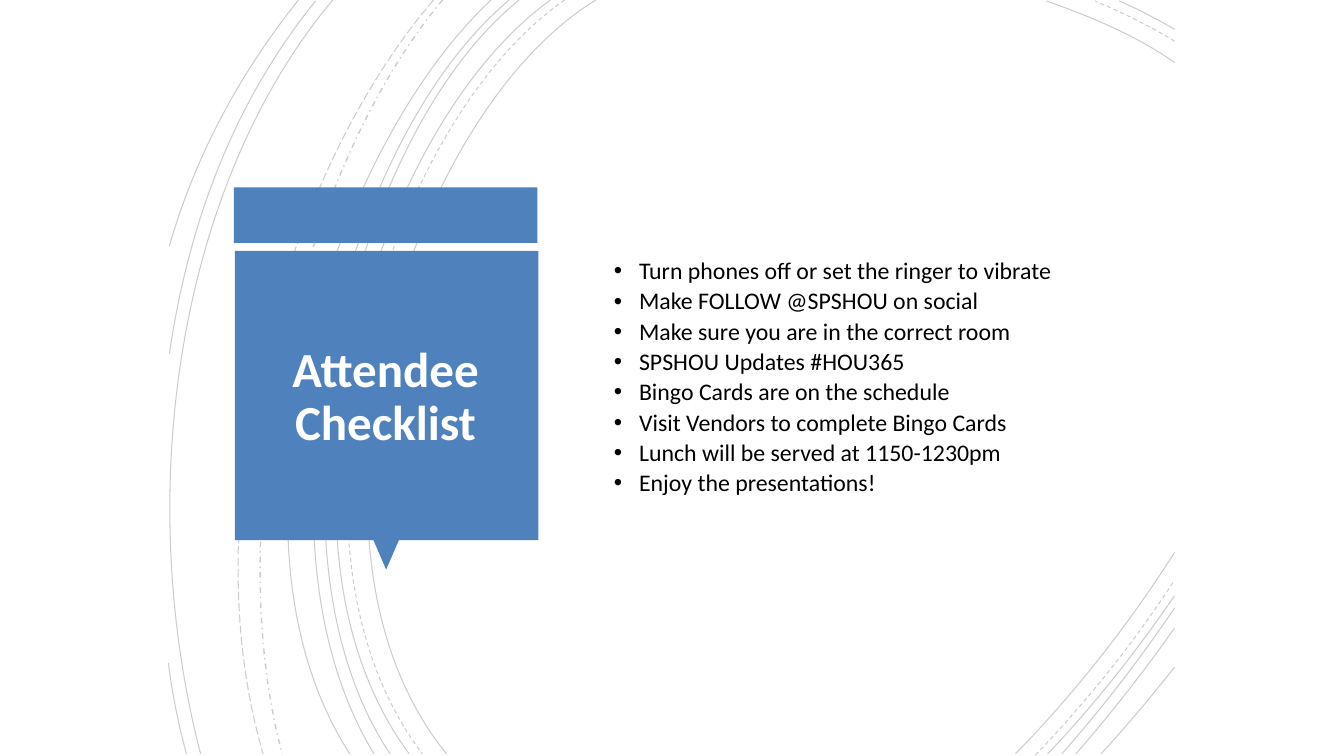
from lxml import etree
from pptx import Presentation
from pptx.dml.color import RGBColor
from pptx.enum.dml import MSO_LINE
from pptx.enum.shapes import MSO_SHAPE
from pptx.enum.text import MSO_ANCHOR, PP_ALIGN
from pptx.oxml.ns import qn
from pptx.util import Pt

PX = 9144
FONT = "Calibri"
BLUE = RGBColor(0x4F, 0x81, 0xBD)
BLACK = RGBColor(0, 0, 0)
WHITE = RGBColor(255, 255, 255)
SOLID, DASH = MSO_LINE.SOLID, MSO_LINE.DASH
DASH_DOT, LONG_DASH = MSO_LINE.DASH_DOT, MSO_LINE.LONG_DASH
RECTANGLE, TRIANGLE = MSO_SHAPE.RECTANGLE, MSO_SHAPE.ISOSCELES_TRIANGLE
MIDDLE = MSO_ANCHOR.MIDDLE
CENTER, LEFT = PP_ALIGN.CENTER, PP_ALIGN.LEFT

ARCS = [
    (SOLID, (591, 0), (403, 115), (274, 540), (443, 748)),
    (SOLID, (1165, 62), (1125, 34), (1080, 16), (1038, 1)),
    (SOLID, (1007, 748), (1064, 690), (1118, 622), (1165, 548)),
    (DASH, (560, 0), (380, 125), (259, 537), (419, 748)),
    (DASH, (1165, 41), (1139, 25), (1112, 12), (1086, 1)),
    (DASH, (1027, 749), (1076, 698), (1123, 640), (1164, 577)),
    (SOLID, (546, 0), (369, 127), (249, 537), (406, 748)),
    (SOLID, (1165, 29), (1147, 19), (1129, 9), (1110, 1)),
    (SOLID, (1039, 748), (1084, 701), (1126, 648), (1165, 591)),
    (SOLID, (515, 0), (349, 133), (249, 541), (387, 748)),
    (SOLID, (1053, 748), (1092, 704), (1130, 655), (1165, 603)),
    (SOLID, (505, 0), (340, 138), (240, 533), (371, 748)),
    (SOLID, (1067, 748), (1101, 709), (1134, 667), (1165, 623)),
    (SOLID, (487, 0), (330, 147), (206, 529), (347, 748)),
    (SOLID, (1092, 748), (1117, 721), (1141, 692), (1165, 662)),
    (DASH_DOT, (439, 0), (299, 166), (216, 509), (280, 748)),
    (LONG_DASH, (430, 0), (285, 169), (188, 499), (261, 748)),
    (SOLID, (330, 0), (175, 185), (132, 490), (199, 748)),
    (SOLID, (313, 1), (236, 96), (188, 214), (168, 351)),
    (SOLID, (167, 658), (171, 689), (177, 719), (185, 748)),
    (SOLID, (296, 0), (241, 69), (195, 150), (168, 244)),
]
CHECKLIST = [
    "Turn phones off or set the ringer to vibrate",
    "Make FOLLOW @SPSHOU on social",
    "Make sure you are in the correct room",
    "SPSHOU Updates #HOU365",
    "Bingo Cards are on the schedule",
    "Visit Vendors to complete Bingo Cards",
    "Lunch will be served at 1150-1230pm",
    "Enjoy the presentations!",
]


def add_arc(page, dash, start, *controls):
    """Draw one faint cubic curve."""
    builder = page.shapes.build_freeform(*start, scale=PX)
    builder.add_line_segments(controls, close=False)
    arc = builder.convert_to_shape()
    arc.shadow.inherit = False
    arc.fill.background()
    arc.line.color.rgb = BLACK
    arc.line.width = Pt(1 if dash == DASH_DOT else 0.75)
    arc.line.dash_style = dash
    color = next(arc.line._ln.iter(qn("a:srgbClr")))
    etree.SubElement(color, qn("a:alpha"), val="20000")
    segments = list(arc._element.iter(qn("a:lnTo")))
    curve = etree.SubElement(segments[0].getparent(), qn("a:cubicBezTo"))
    for segment in segments:
        curve.append(segment[0])
        segment.getparent().remove(segment)


def add_block(page, kind, *bounds, rotation=0):
    """Add a plain blue shape."""
    block = page.shapes.add_shape(kind, *(PX * length for length in bounds))
    block.shadow.inherit = False
    block.fill.solid()
    block.fill.fore_color.rgb = BLUE
    block.line.fill.background()
    block.rotation = rotation


def add_text_box(page, *bounds):
    """Add a wrapping, vertically centred text box and return its frame."""
    box = page.shapes.add_textbox(*(PX * length for length in bounds))
    box.text_frame.word_wrap = True
    box.text_frame.vertical_anchor = MIDDLE
    return box.text_frame


def add_span(para, text, size, color, bold=False):
    """Add one formatted run."""
    para.line_spacing = 0.9
    span = para.add_run()
    span.text = text
    span.font.name = FONT
    span.font.size = Pt(size)
    span.font.bold = bold
    span.font.color.rgb = color


def add_title(page):
    """Write the white heading on the blue panel."""
    para = add_text_box(page, 241, 264, 283, 262).paragraphs[0]
    para.alignment = CENTER
    para.space_after = Pt(6)
    add_span(para, "Attendee Checklist", 35, WHITE, bold=True)


def add_checklist(page):
    """Write the bulleted list."""
    frame = add_text_box(page, 586, 88, 515, 574)
    for index, item in enumerate(CHECKLIST):
        para = frame.add_paragraph() if index else frame.paragraphs[0]
        para.alignment = LEFT
        properties = para._p.get_or_add_pPr()
        properties.set("marL", str(38 * PX))
        properties.set("indent", str(-25 * PX))
        etree.SubElement(properties, qn("a:buFont"), typeface="Arial")
        etree.SubElement(properties, qn("a:buChar"), char="•")
        if index:
            para.space_before = Pt(3.3)
        add_span(para, item, 17, BLACK)


def main():
    """Build and save the slide."""
    deck = Presentation()
    deck.slide_width, deck.slide_height = 1333 * PX, 750 * PX
    page = deck.slides.add_slide(deck.slide_layouts[6])
    for arc in ARCS:
        add_arc(page, *arc)
    add_block(page, RECTANGLE, 232, 186, 301, 55)
    add_block(page, TRIANGLE, 370, 535, 26, 30, rotation=180)
    add_block(page, RECTANGLE, 233, 249, 301, 287)
    add_title(page)
    add_checklist(page)
    deck.save("out.pptx")


if __name__ == "__main__":
    main()
